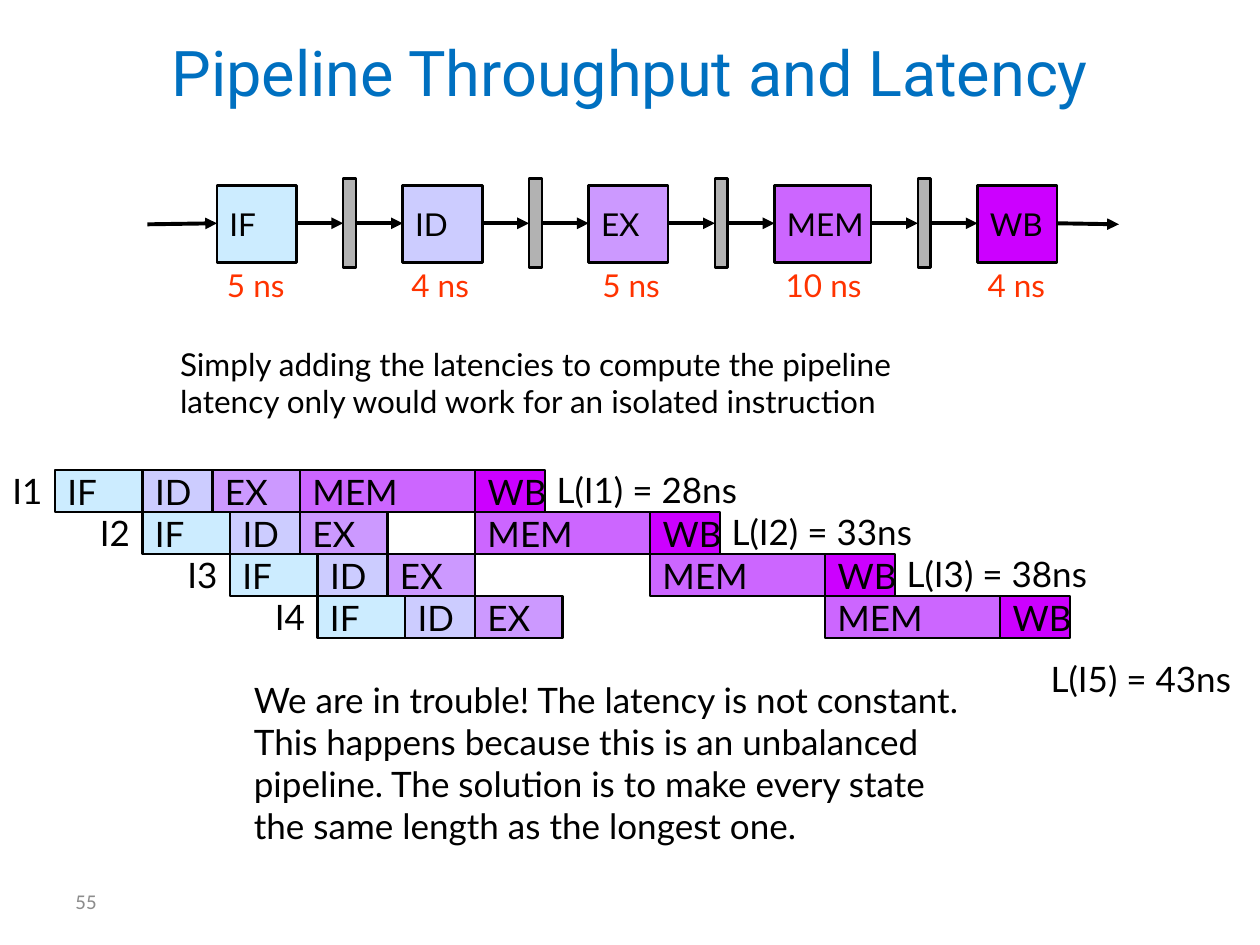
import dataclasses
import itertools

import lxml.etree
import pptx
import pptx.dml.color
import pptx.enum.shapes
import pptx.enum.text
import pptx.oxml.ns
import pptx.util

Pt = pptx.util.Pt
BLACK = "000000"
LABEL_RED = "FF3300"
REGISTER_GRAY = "B2B2B2"


@dataclasses.dataclass
class Stage:
    name: str
    color: str
    latency: int  # ns
    width: float
    label_shift: float


STAGES = [
    Stage("IF", "CCECFF", 5, 45.4, -1.4),
    Stage("ID", "CCCCFF", 4, 45.4, -2.2),
    Stage("EX", "CC99FF", 5, 45.4, 0.7),
    Stage("MEM", "CC66FF", 10, 55.2, -0.7),
    Stage("WB", "CC00FF", 4, 45.4, -1.4),
]

# Pipeline diagram
STAGE_LEFT, STAGE_TOP, STAGE_HEIGHT = 124, 106, 44
REGISTER_TOP, REGISTER_WIDTH, REGISTER_HEIGHT = 102, 7.4, 51
ARROW_LENGTH, ARROW_Y = 26.7, 127.6

# Timeline
TIME_LEFT, TIME_TOP, ROW_HEIGHT, POINTS_PER_NS = 31.5, 268.6, 24, 10
INSTRUCTIONS = 4


def rgb(color: str) -> pptx.dml.color.RGBColor:
    return pptx.dml.color.RGBColor.from_string(color)


def format_text(shape, text: str, size: float, color: str = BLACK, font: str = "Lato",
                align=pptx.enum.text.PP_ALIGN.LEFT) -> None:
    text_frame = shape.text_frame
    text_frame.text = text
    text_frame.auto_size = pptx.enum.text.MSO_AUTO_SIZE.NONE
    text_frame.vertical_anchor = pptx.enum.text.MSO_ANCHOR.MIDDLE
    for paragraph in text_frame.paragraphs:
        paragraph.alignment = align
        for run in paragraph.runs:
            run.font.name = font
            run.font.size = Pt(size)
            run.font.color.rgb = rgb(color)


def add_label(slide, text: str, left: float, top: float, width: float, height: float,
              size: float = 20, color: str = BLACK, font: str = "Lato") -> None:
    box = slide.shapes.add_textbox(Pt(left), Pt(top), Pt(width), Pt(height))
    box.text_frame.word_wrap = True
    box.text_frame.margin_right = 0
    format_text(box, text, size, color, font)


def add_box(slide, left: float, top: float, width: float, height: float,
            fill: str, text: str = "", size: float = 18) -> None:
    shape = slide.shapes.add_shape(pptx.enum.shapes.MSO_SHAPE.RECTANGLE,
                                   Pt(left), Pt(top), Pt(width), Pt(height))
    shape.shadow.inherit = False
    shape.fill.solid()
    shape.fill.fore_color.rgb = rgb(fill)
    shape.line.color.rgb = rgb(BLACK)
    shape.line.width = Pt(1.5)
    if text:
        shape.text_frame.word_wrap = False
        format_text(shape, text, size)


def add_arrow(slide, start_x: float, end_x: float,
              start_y: float = ARROW_Y, end_y: float = ARROW_Y) -> None:
    arrow = slide.shapes.add_connector(pptx.enum.shapes.MSO_CONNECTOR.STRAIGHT,
                                       Pt(start_x), Pt(start_y), Pt(end_x), Pt(end_y))
    arrow.line.color.rgb = rgb(BLACK)
    arrow.line.width = Pt(2.25)
    qn = pptx.oxml.ns.qn
    lxml.etree.SubElement(arrow.line._get_or_add_ln(), qn("a:tailEnd"), type="triangle")
    lxml.etree.SubElement(arrow._element.spPr, qn("a:effectLst"))


def draw_pipeline(slide) -> None:
    left = STAGE_LEFT
    add_arrow(slide, 84.2, left, start_y=ARROW_Y + 0.6)
    for stage in STAGES:
        add_box(slide, left, STAGE_TOP, stage.width, STAGE_HEIGHT, stage.color, stage.name)
        add_label(slide, f"{stage.latency} ns", left + stage.label_shift, 148.3,
                  stage.width + 4, 29, 18, LABEL_RED)
        right = left + stage.width
        if stage is STAGES[-1]:
            add_arrow(slide, right, 639.4, end_y=ARROW_Y + 0.6)
            break
        # Pipeline register between two stages
        register = right + ARROW_LENGTH
        add_arrow(slide, right, register)
        add_box(slide, register, REGISTER_TOP, REGISTER_WIDTH, REGISTER_HEIGHT, REGISTER_GRAY)
        left = register + REGISTER_WIDTH + ARROW_LENGTH
        add_arrow(slide, register + REGISTER_WIDTH, left)


def draw_timeline(slide) -> None:
    latencies = [stage.latency for stage in STAGES]
    first_starts = list(itertools.accumulate(latencies, initial=0))
    # A stage repeats at the pace of the slowest stage up to it
    intervals = list(itertools.accumulate(latencies, max))
    for row in range(INSTRUCTIONS):
        top = TIME_TOP + row * ROW_HEIGHT
        starts = [first + row * interval for first, interval in zip(first_starts, intervals)]
        for stage, start in zip(STAGES, starts):
            add_box(slide, TIME_LEFT + start * POINTS_PER_NS, top,
                    stage.latency * POINTS_PER_NS, ROW_HEIGHT, stage.color, stage.name, 20)
        name = f"I{row + 1}"
        add_label(slide, name, starts[0] * POINTS_PER_NS, top - 3.6, 33, 31)
        end = starts[-1] + latencies[-1]
        if row < INSTRUCTIONS - 1:
            add_label(slide, f"L({name}) = {end - starts[0]}ns",
                      TIME_LEFT + end * POINTS_PER_NS - 0.5, top - 4.4, 127, 31)


def main() -> None:
    presentation = pptx.Presentation()
    presentation.slide_width, presentation.slide_height = Pt(720), Pt(540)
    slide = presentation.slides.add_slide(presentation.slide_layouts[5])

    # Title and slide number
    title = slide.shapes.title
    title.left, title.top, title.width, title.height = Pt(36), Pt(21.6), Pt(648), Pt(38)
    format_text(title, "Pipeline Throughput and Latency", 36, "0070C0", "Roboto",
                pptx.enum.text.PP_ALIGN.CENTER)
    add_label(slide, "55", 36, 500.4, 168, 28.8, 12, "8C8C8C", "Calibri")

    draw_pipeline(slide)
    add_label(slide, "Simply adding the latencies to compute the pipeline\n"
              "latency only would work for an isolated instruction", 95.8, 186, 562, 65, 18)

    draw_timeline(slide)
    add_label(slide, "L(I5) = 43ns", 593.3, 372.3, 126.7, 31)
    add_label(slide, "We are in trouble! The latency is not constant.\n"
              "This happens because this is an unbalanced\n"
              "pipeline. The solution is to make every state\n"
              "the same length as the longest one.", 138, 384, 425.5, 103)

    presentation.save("out.pptx")


if __name__ == "__main__":
    main()
